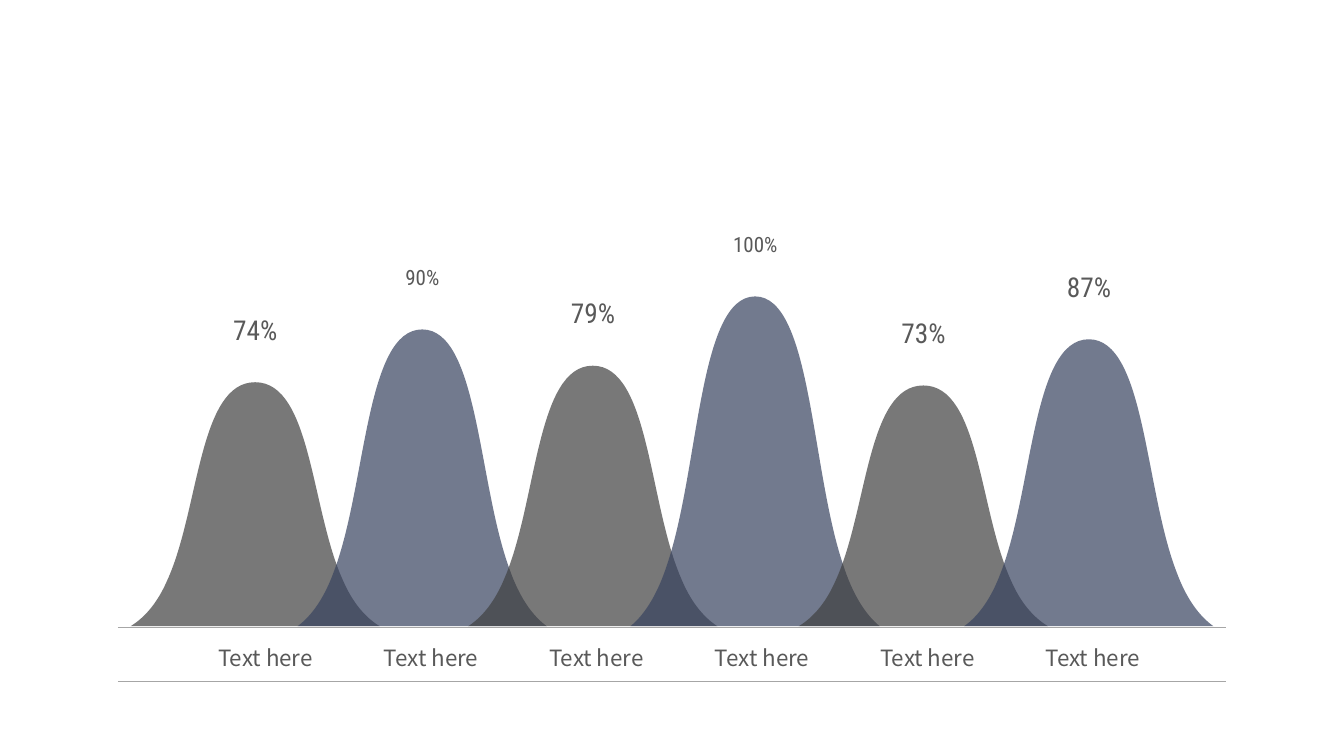
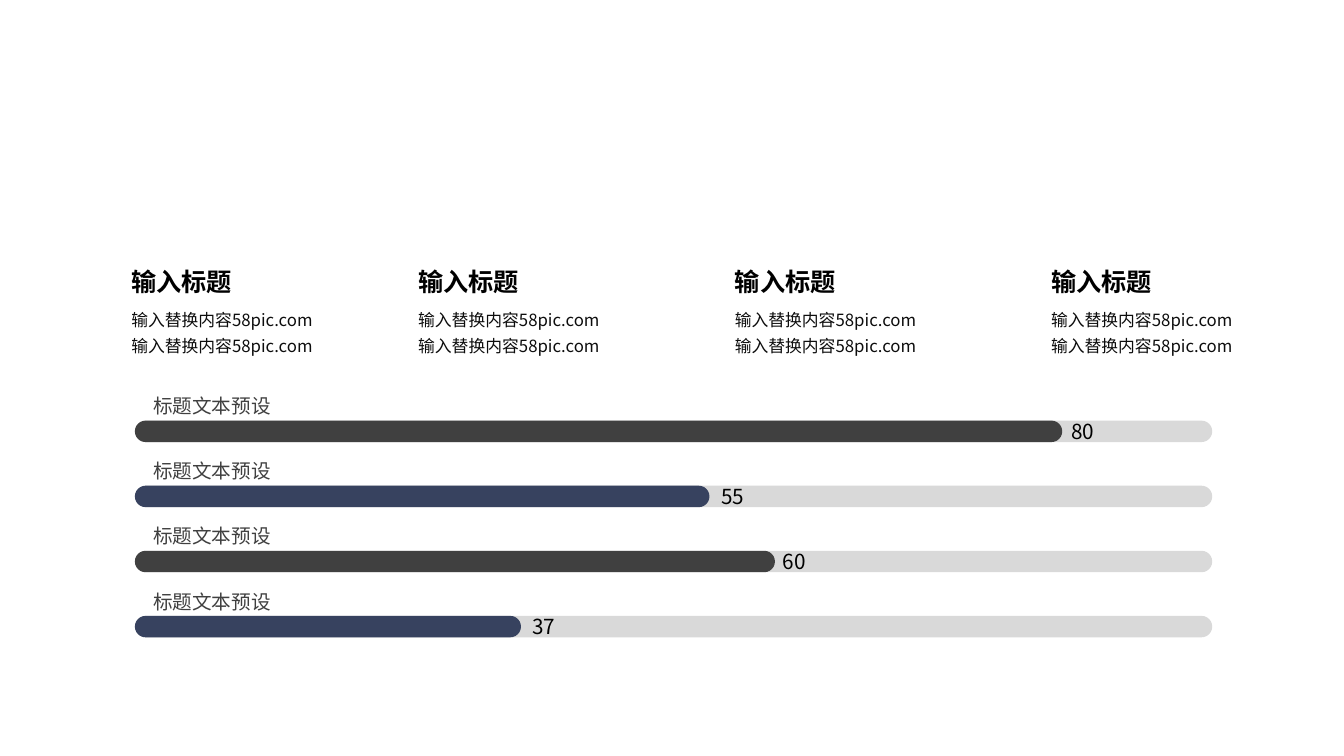
import lxml.etree
import pptx
import pptx.dml.color
import pptx.enum.shapes
import pptx.enum.text
import pptx.oxml.ns
import pptx.util

Cm = pptx.util.Cm
RGBColor = pptx.dml.color.RGBColor
Align = pptx.enum.text.PP_ALIGN
Anchor = pptx.enum.text.MSO_ANCHOR
AutoSize = pptx.enum.text.MSO_AUTO_SIZE
Preset = pptx.enum.shapes.MSO_SHAPE
qn = pptx.oxml.ns.qn

WHITE = RGBColor(0xFF, 0xFF, 0xFF)
CHARCOAL = RGBColor(0x40, 0x40, 0x40)
NAVY = RGBColor(0x37, 0x42, 0x5F)
GREY = RGBColor(0x59, 0x59, 0x59)
RULE = RGBColor(0xA6, 0xA6, 0xA6)
TRACK = RGBColor(0xD9, 0xD9, 0xD9)
BLACK = RGBColor(0, 0, 0)
INK = RGBColor(0x0D, 0x0D, 0x0D)
SERIES = (CHARCOAL, NAVY)
SANS = "Noto Sans CJK SC"
CONDENSED = "Roboto Condensed"
SLIDE_WIDTH, SLIDE_HEIGHT = 33.87, 19.05

PEAKS = [
    (74, 6.43, 19.5),
    (90, 10.64, 15),
    (79, 14.94, 19.5),
    (100, 19.03, 15),
    (73, 23.27, 19.5),
    (87, 27.44, 19.5),
]
PEAK_CAPTION = "Text here"
BASELINE = 15.78
FULL_HEIGHT = 8.31
HALF_WIDTH = 3.14
RIGHT_FLANK = [(0.455, 0), (0.447, 0.525), (0.707, 0.814),
               (0.78, 0.9), (0.88, 0.963), (1, 1)]

COLUMNS = [
    (left, "输入标题", "输入替换内容58pic.com输入替换内容58pic.com")
    for left in (3.06, 10.29, 18.27, 26.24)
]
BARS = [
    ("标题文本预设", "80", 23.37, 0.23),
    ("标题文本预设", "55", 14.48, 0.3),
    ("标题文本预设", "60", 16.13, 0.2),
    ("标题文本预设", "37", 9.73, 0.28),
]
BAR_LEFT, BAR_TOP, BAR_STEP = 3.4, 10.6, 1.64
BAR_HEIGHT, TRACK_WIDTH = 0.54, 27.15


def add_textbox(page, left, top, width, height):
    return page.shapes.add_textbox(Cm(left), Cm(top), Cm(width), Cm(height))


def add_outline(page, points):
    corners = [(Cm(x), Cm(y)) for x, y in points]
    builder = page.shapes.build_freeform(*corners[0])
    builder.add_line_segments(corners[1:], close=True)
    outline = builder.convert_to_shape()
    outline.shadow.inherit = False
    outline.fill.background()
    outline.line.fill.background()
    return outline


def add_plate(page, left, top, width, height):
    right, bottom = left + width, top + height
    return add_outline(page, [(left, top), (right, top), (right, bottom), (left, bottom)])


def write(box, text, *, size, color, font=SANS, bold=False, align=Align.LEFT,
          anchor=Anchor.MIDDLE, inset=(0, 0), spacing=None, wrap=False,
          fit=AutoSize.NONE):
    frame = box.text_frame
    frame.auto_size = fit
    frame.word_wrap = wrap
    frame.vertical_anchor = anchor
    frame.margin_left = frame.margin_right = Cm(inset[0])
    frame.margin_top = frame.margin_bottom = Cm(inset[1])
    para = frame.paragraphs[0]
    para.alignment = align
    if spacing:
        para.line_spacing = spacing
    span = para.add_run()
    span.text = text
    span.font.size = pptx.util.Pt(size)
    span.font.bold = bold
    span.font.color.rgb = color
    span.font.name = font
    lxml.etree.SubElement(span._r.get_or_add_rPr(), qn("a:ea"), typeface=font)


def paint(shape, color, opacity=None):
    shape.shadow.inherit = False
    shape.fill.solid()
    shape.fill.fore_color.rgb = color
    shape.line.fill.background()
    if opacity is not None:
        tint = shape.element.spPr.find(".//" + qn("a:srgbClr"))
        lxml.etree.SubElement(tint, qn("a:alpha"), val=str(opacity * 1000))


def add_rule(page, top):
    rule = page.shapes.add_connector(
        pptx.enum.shapes.MSO_CONNECTOR.STRAIGHT,
        Cm(2.97), Cm(top), Cm(30.89), Cm(top))
    rule.line.color.rgb = RULE
    rule.line.width = pptx.util.Pt(0.5)
    lxml.etree.SubElement(rule.element.spPr, qn("a:effectLst"))


def curve_segments(shape, first, count):
    lines = shape.element.spPr.findall(".//" + qn("a:lnTo"))
    for start in range(first, first + 3 * count, 3):
        curve = lxml.etree.Element(qn("a:cubicBezTo"))
        lines[start].addprevious(curve)
        for line in lines[start:start + 3]:
            curve.append(line[0])
            line.getparent().remove(line)


def add_bell(page, center, height, color):
    left_flank = [(-x, y) for x, y in reversed(RIGHT_FLANK)]
    outline = left_flank + [(0, 0)] + RIGHT_FLANK
    bell = add_outline(page, [(center + x * HALF_WIDTH, BASELINE - height * (1 - y))
                              for x, y in outline])
    curve_segments(bell, 0, 4)
    paint(bell, color, opacity=70)


def add_bar(page, top, width, color):
    bar = page.shapes.add_shape(Preset.ROUNDED_RECTANGLE, Cm(BAR_LEFT), Cm(top),
                                Cm(width), Cm(BAR_HEIGHT))
    bar.adjustments[0] = 0.5
    paint(bar, color)


def build_peaks(page):
    for top in (15.82, 17.17):
        add_rule(page, top)
    for index, (value, center, size) in enumerate(PEAKS):
        height = FULL_HEIGHT * value / 100
        caption = add_plate(page, 5.5 + index * 4.17, 16.15, 2.24, 0.86)
        write(caption, PEAK_CAPTION, size=16, color=GREY)
        label = add_plate(page, center - 0.58, BASELINE - height - 1.71, 1.17, 0.76)
        write(label, f"{value}%", size=size, color=GREY, font=CONDENSED,
              align=Align.CENTER, wrap=True)
        add_bell(page, center, height, SERIES[index % 2])


def build_bars(page):
    for index, (label, value, width, gap) in enumerate(BARS):
        top = BAR_TOP + index * BAR_STEP
        add_bar(page, top, TRACK_WIDTH, TRACK)
        add_bar(page, top, width, SERIES[index % 2])
        write(add_textbox(page, 3.86, top - 0.75, 9.25, 0.76), label,
              size=14, color=CHARCOAL)
        write(add_textbox(page, BAR_LEFT + width + gap, top, 0.58, BAR_HEIGHT), value,
              size=14.8, color=BLACK)
    shared = dict(anchor=Anchor.TOP, inset=(0.25, 0.13), wrap=True,
                  fit=AutoSize.SHAPE_TO_FIT_TEXT)
    for left, title, body in COLUMNS:
        write(add_textbox(page, left, 7.52, 5.38, 1.52), body,
              size=12, color=INK, spacing=1.3, **shared)
        write(add_textbox(page, left, 6.58, 5.38, 1.07), title,
              size=18, color=BLACK, bold=True, align=Align.JUSTIFY, **shared)


def add_master_veil(deck, page):
    veil = page.shapes.add_shape(Preset.RECTANGLE, 0, 0,
                                 deck.slide_width, deck.slide_height)
    paint(veil, WHITE, opacity=40)
    deck.slide_master.shapes.element.insert(2, veil.element)


def main():
    deck = pptx.Presentation()
    deck.slide_width, deck.slide_height = Cm(SLIDE_WIDTH), Cm(SLIDE_HEIGHT)
    pages = [deck.slides.add_slide(deck.slide_layouts[6]) for _ in range(2)]
    add_master_veil(deck, pages[0])
    build_peaks(pages[0])
    build_bars(pages[1])
    deck.save("out.pptx")


if __name__ == "__main__":
    main()
